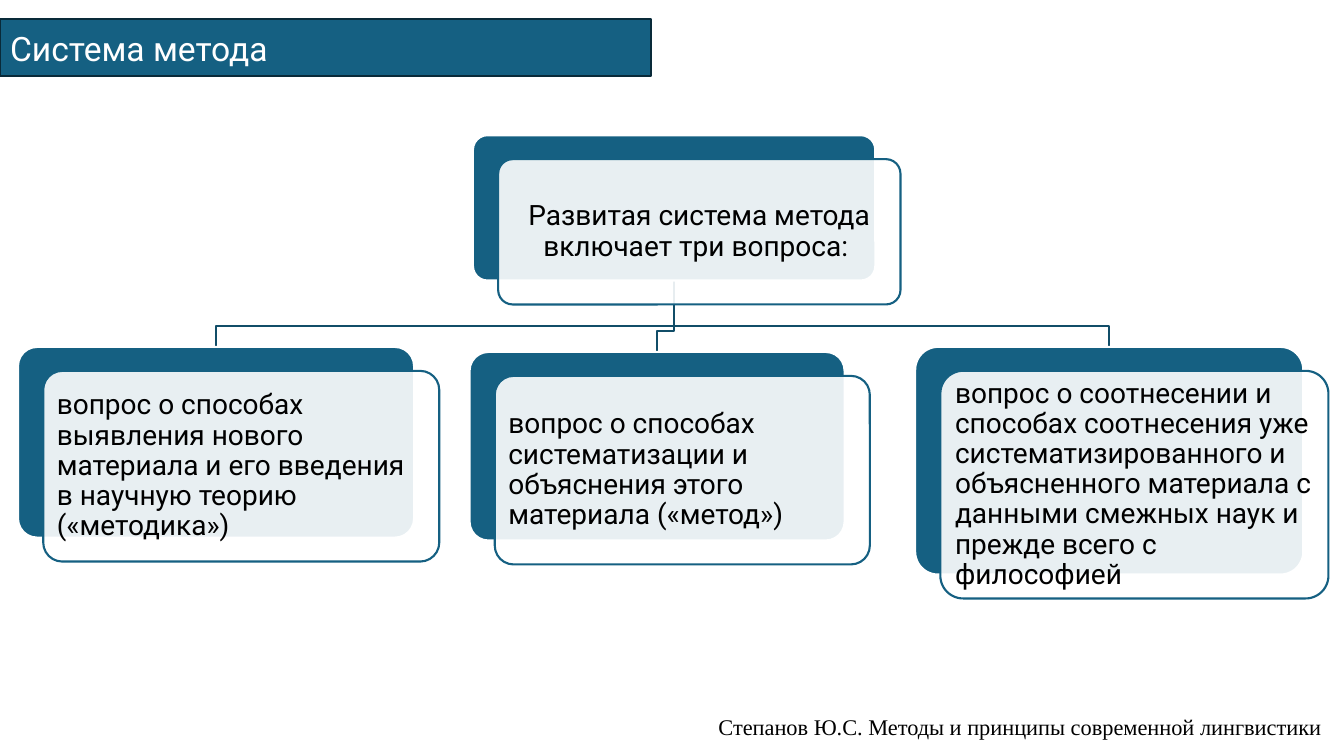
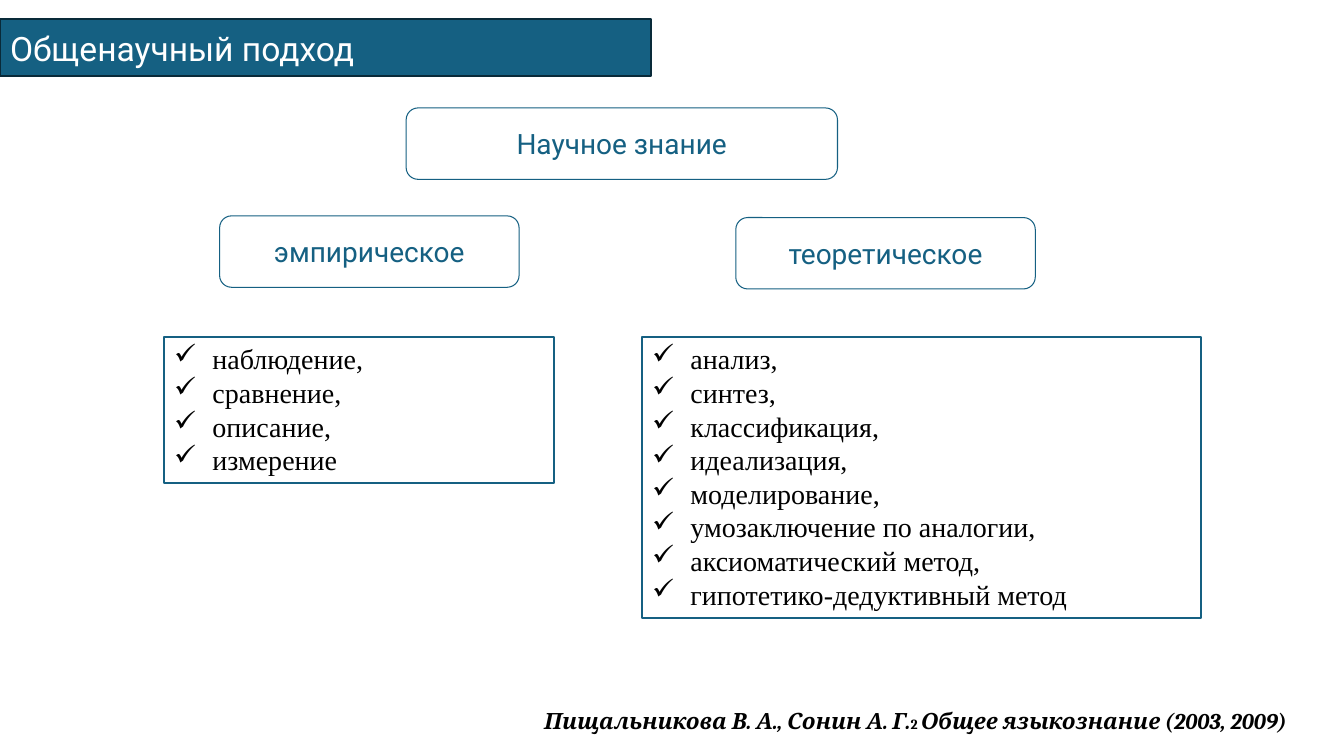
import dataclasses
import typing

import lxml.etree
import pptx
import pptx.dml.color
import pptx.enum.shapes
import pptx.enum.text
import pptx.oxml.ns
import pptx.util

SHAPE = pptx.enum.shapes.MSO_SHAPE
ALIGN = pptx.enum.text.PP_ALIGN
ANCHOR = pptx.enum.text.MSO_ANCHOR
NO_FIT = pptx.enum.text.MSO_AUTO_SIZE.NONE

COLORS = {
    "accent": "156082",
    "band_edge": "092A39",
    "branch": "114D68",
    "paper": "FFFFFF",
    "ink": "000000",
}
SANS, SERIF, CITATION = "Roboto", "Times New Roman", "Cambria"

SLIDE_W = pptx.util.Inches(13.333)
SLIDE_H = pptx.util.Inches(7.5)
COLS, ROWS = 32, 18


@dataclasses.dataclass(frozen=True)
class Box:
    col: float
    row: float
    cols: float
    rows: float

    def moved(self, dx: float, dy: float) -> "Box":
        return Box(self.col + dx, self.row + dy, self.cols, self.rows)

    @property
    def center(self) -> float:
        return self.col + self.cols / 2

    @property
    def bottom(self) -> float:
        return self.row + self.rows


@dataclasses.dataclass(frozen=True)
class Run:
    text: str
    size: float = 20
    font: str = SANS
    color: str = "ink"
    bold: bool = False
    italic: bool = False


@dataclasses.dataclass(frozen=True)
class Style:
    fill: typing.Optional[str] = None
    line: typing.Optional[str] = None
    weight: float = 1.5
    opacity: int = 100


@dataclasses.dataclass(frozen=True)
class Card:
    box: Box
    text: str
    align: ALIGN = ALIGN.LEFT


@dataclasses.dataclass(frozen=True)
class Label:
    box: Box
    text: str


@dataclasses.dataclass(frozen=True)
class Checklist:
    box: Box
    items: tuple[str, ...]


TITLE_BOX = Box(0, 0.45, 15.5, 1.37)
CARD_SHIFT = (0.6, 0.57)
BRANCH_DROP = 0.5
BULLET_INDENT = pptx.util.Inches(0.38)

BAND = Style("accent", "band_edge")
CARD_BACK = Style("accent", "paper")
CARD_FRONT = Style("paper", "accent", opacity=90)
BRANCH = Style(line="branch")
LABEL = Style(line="accent", weight=0.75)
LIST = Style("paper", "accent")

ROOT = Card(Box(11.26, 3.22, 9.58, 3.46),
            "Развитая система метода включает три вопроса: ", ALIGN.CENTER)
QUESTIONS = (
    Card(Box(0.43, 8.26, 9.43, 4.54),
         "вопрос о способах выявления нового материала и его введения "
         "в научную теорию («методика»)"),
    Card(Box(11.18, 8.38, 8.93, 4.49),
         "вопрос о способах систематизации и объяснения этого "
         "материала («метод»)"),
    Card(Box(21.79, 8.26, 9.24, 5.42),
         "вопрос о соотнесении и способах соотнесения уже "
         "систематизированного и объясненного материала с данными "
         "смежных наук и прежде всего с философией"),
)
LABELS = (
    Label(Box(9.67, 2.57, 10.27, 1.7), "Научное знание"),
    Label(Box(5.23, 5.14, 7.13, 1.7), "эмпирическое"),
    Label(Box(17.52, 5.18, 7.13, 1.7), "теоретическое"),
)
CHECKLISTS = (
    Checklist(Box(3.91, 8.02, 9.29, 3.48),
              ("наблюдение,", "сравнение,", "описание,", "измерение")),
    Checklist(Box(15.29, 8.02, 13.3, 6.7),
              ("анализ,", "синтез,", "классификация,", "идеализация,",
               "моделирование,", "умозаключение по аналогии,",
               "аксиоматический метод,", "гипотетико-дедуктивный метод")),
)


def x(cols: float) -> int:
    return round(SLIDE_W * cols / COLS)


def y(rows: float) -> int:
    return round(SLIDE_H * rows / ROWS)


def frame(box: Box) -> tuple[int, int, int, int]:
    return x(box.col), y(box.row), x(box.cols), y(box.rows)


def rgb(name: str) -> pptx.dml.color.RGBColor:
    return pptx.dml.color.RGBColor.from_string(COLORS[name])


def assign(target: typing.Any, values: dict[str, typing.Any]) -> None:
    for name, value in values.items():
        setattr(target, name, value)


def add_xml(parent: typing.Any, tag: str, **attrs: str) -> typing.Any:
    return lxml.etree.SubElement(parent, pptx.oxml.ns.qn(tag), attrs)


def paint(sp: typing.Any, style: Style) -> None:
    sp.shadow.inherit = False
    if style.fill:
        sp.fill.solid()
        sp.fill.fore_color.rgb = rgb(style.fill)
        if style.opacity < 100:
            color = sp._element.spPr.find(".//" + pptx.oxml.ns.qn("a:srgbClr"))
            add_xml(color, "a:alpha", val=str(style.opacity * 1000))
    else:
        sp.fill.background()
    if style.line:
        sp.line.color.rgb = rgb(style.line)
        sp.line.width = pptx.util.Pt(style.weight)


def write(sp: typing.Any, paragraphs: typing.Sequence[typing.Sequence[Run]],
          align: ALIGN = ALIGN.LEFT, anchor: ANCHOR = ANCHOR.MIDDLE,
          inset: float = 0.1, spacing: float = 1.0,
          bullet: typing.Optional[str] = None) -> None:
    tf = sp.text_frame
    margins = {"margin_left": inset, "margin_right": inset,
               "margin_top": min(inset, 0.08) if inset < 0.1 else 0.05,
               "margin_bottom": min(inset, 0.08) if inset < 0.1 else 0.05}
    assign(tf, {k: pptx.util.Inches(v) for k, v in margins.items()})
    assign(tf, {"word_wrap": True, "auto_size": NO_FIT,
                "vertical_anchor": anchor})
    for i, runs in enumerate(paragraphs):
        p = tf.add_paragraph() if i else tf.paragraphs[0]
        assign(p, {"alignment": align, "line_spacing": spacing})
        if bullet:
            props = p._p.get_or_add_pPr()
            props.set("marL", str(BULLET_INDENT))
            props.set("indent", str(-BULLET_INDENT))
            add_xml(props, "a:buChar", char=bullet)
        for run in runs:
            r = p.add_run()
            r.text = run.text
            assign(r.font, {"size": pptx.util.Pt(run.size), "name": run.font,
                            "bold": run.bold, "italic": run.italic})
            r.font.color.rgb = rgb(run.color)


def add_box(s: typing.Any, box: Box, style: Style,
            kind: SHAPE = SHAPE.ROUNDED_RECTANGLE,
            corner: typing.Optional[float] = None) -> typing.Any:
    sp = s.shapes.add_shape(kind, *frame(box))
    if corner is not None:
        sp.adjustments[0] = corner
    paint(sp, style)
    return sp


def add_titled_slide(prs: typing.Any, title: str) -> typing.Any:
    s = prs.slides.add_slide(prs.slide_layouts[5])
    sp = s.shapes.title
    assign(sp, dict(zip(("left", "top", "width", "height"),
                        frame(TITLE_BOX))))
    geometry = add_xml(sp._element.spPr, "a:prstGeom", prst="roundRect")
    add_xml(geometry, "a:avLst")
    paint(sp, BAND)
    write(sp, [[Run(title, 24, color="paper")]])
    return s


def add_footer(s: typing.Any, box: Box, runs: typing.Sequence[Run]) -> None:
    sp = s.shapes.add_textbox(*frame(box))
    write(sp, [runs], anchor=ANCHOR.TOP)


def add_branch(s: typing.Any, parent: Box, child: Box) -> None:
    bend = child.row - BRANCH_DROP
    points = [(parent.center, bend), (child.center, bend),
              (child.center, child.row)]
    builder = s.shapes.build_freeform(x(parent.center), y(parent.bottom))
    builder.add_line_segments([(x(c), y(r)) for c, r in points], close=False)
    paint(builder.convert_to_shape(), BRANCH)


def add_card(s: typing.Any, card: Card) -> None:
    add_box(s, card.box, CARD_BACK, corner=0.1)
    sp = add_box(s, card.box.moved(*CARD_SHIFT), CARD_FRONT, corner=0.1)
    write(sp, [[Run(card.text)]], card.align, inset=0.08, spacing=0.9)


def add_label(s: typing.Any, label: Label) -> None:
    sp = add_box(s, label.box, LABEL)
    write(sp, [[Run(label.text, color="accent")]], ALIGN.CENTER)


def add_checklist(s: typing.Any, checklist: Checklist) -> None:
    sp = add_box(s, checklist.box, LIST, SHAPE.RECTANGLE)
    write(sp, [[Run(item, font=SERIF)] for item in checklist.items],
          anchor=ANCHOR.TOP, bullet="✓")


def build_method_slide(prs: typing.Any) -> None:
    s = add_titled_slide(prs, "Система метода")
    add_footer(s, Box(16.87, 16.85, 15.12, 0.89), [
        Run("Степанов Ю.С. Методы и принципы современной лингвистики",
            16, SERIF)])
    for question in reversed(QUESTIONS):
        add_branch(s, ROOT.box, question.box)
    for card in (ROOT, *QUESTIONS):
        add_card(s, card)


def build_approach_slide(prs: typing.Any) -> None:
    s = add_titled_slide(prs, "Общенаучный подход")
    for label in LABELS:
        add_label(s, label)
    for checklist in CHECKLISTS:
        add_checklist(s, checklist)
    add_footer(s, Box(12.72, 16.73, 18.43, 0.89), [
        Run("Пищальникова В. А., Сонин А. Г.", 16, CITATION,
            bold=True, italic=True),
        Run("2 ", 10, CITATION, bold=True),
        Run("Общее языкознание (2003, 2009)", 16, CITATION,
            bold=True, italic=True)])


def main() -> None:
    prs = pptx.Presentation()
    assign(prs, {"slide_width": SLIDE_W, "slide_height": SLIDE_H})
    build_method_slide(prs)
    build_approach_slide(prs)
    prs.save("out.pptx")


if __name__ == "__main__":
    main()
